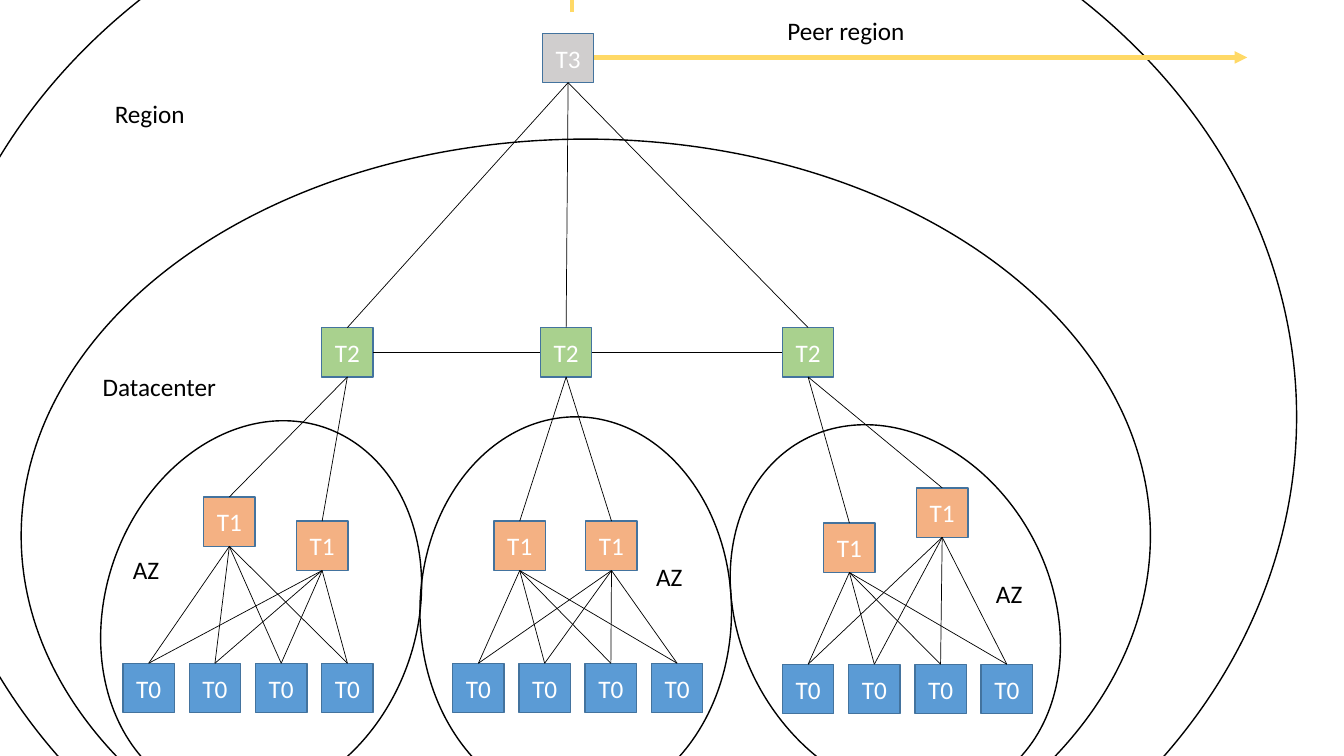
from pptx import Presentation
from pptx.dml.color import RGBColor
from pptx.enum.shapes import MSO_CONNECTOR, MSO_SHAPE
from pptx.enum.text import MSO_ANCHOR, MSO_AUTO_SIZE, PP_ALIGN
from pptx.oxml.ns import qn
from pptx.util import Inches, Pt
from lxml.etree import SubElement

NODE_WIDTH, NODE_HEIGHT = 0.51, 0.49
SERVER_PITCH = 0.657
TOP, LEFT, BOTTOM, RIGHT = range(4)  # connection sites of a rectangle
FILLS = {"T0": "5B9BD5", "T1": "F4B183", "T2": "A9D18E", "T3": "D0CECE"}

presentation = Presentation()
presentation.slide_width, presentation.slide_height = Inches(13.33), Inches(7.5)
slide = presentation.slides.add_slide(presentation.slide_layouts[6])


def add_node(tier, left, top):
    node = slide.shapes.add_shape(MSO_SHAPE.RECTANGLE, Inches(left), Inches(top),
                                  Inches(NODE_WIDTH), Inches(NODE_HEIGHT))
    node.shadow.inherit = False
    node.fill.solid()
    node.fill.fore_color.rgb = RGBColor.from_string(FILLS[tier])
    node.line.color.rgb = RGBColor.from_string("43739E")
    node.line.width = Pt(1)
    node.text_frame.vertical_anchor = MSO_ANCHOR.MIDDLE
    paragraph = node.text_frame.paragraphs[0]
    paragraph.text = tier
    paragraph.alignment = PP_ALIGN.CENTER
    paragraph.font.name, paragraph.font.size = "Calibri", Pt(18)
    paragraph.font.color.rgb = RGBColor.from_string("FFFFFF")
    return node


def add_line(start=(0, 0), end=(0, 0), color="000000", width=0.5):
    line = slide.shapes.add_connector(
        MSO_CONNECTOR.STRAIGHT, *[Inches(value) for value in (*start, *end)])
    line.line.color.rgb = RGBColor.from_string(color)
    line.line.width = Pt(width)
    SubElement(line._element.spPr, qn("a:effectLst"))
    return line


# Outlines of the region, the datacenter and the three zones
outlines = [
    (-0.74, -1.56, 13.6, 11.39, 180),
    (0.21, 1.38, 11.2, 7.87, 180),
    (0.66, 4.52, 3.86, 3.09, 289.3),
    (3.78, 4.52, 3.86, 3.09, 270),
    (6.95, 4.52, 3.86, 3.09, 242),
]
for left, top, width, height, rotation in outlines:
    outline = slide.shapes.add_shape(MSO_SHAPE.OVAL, Inches(left), Inches(top),
                                     Inches(width), Inches(height))
    outline.rotation = rotation
    outline.shadow.inherit = False
    outline.fill.background()
    outline.line.color.rgb = RGBColor.from_string("000000")
    outline.line.width = Pt(1)

# Nodes: each zone has a T2 position, two T1 positions and a row of four T0
root = add_node("T3", 5.38, 0.33)
zones = [
    (3.19, [(2.02, 4.93), (2.94, 5.17)], (1.22, 6.58)),
    (5.36, [(4.9, 5.17), (5.81, 5.17)], (4.49, 6.58)),
    (7.76, [(8.17, 5.19), (9.09, 4.84)], (7.76, 6.59)),
]
links = []
spines = []
for spine_left, leaf_places, (row_left, row_top) in zones:
    spine = add_node("T2", spine_left, 3.25)
    leaves = [add_node("T1", *place) for place in leaf_places]
    servers = [add_node("T0", row_left + column * SERVER_PITCH, row_top)
               for column in range(4)]
    spines.append(spine)
    links.append((spine, TOP, root, BOTTOM))
    links += [(leaf, TOP, spine, BOTTOM) for leaf in leaves]
    links += [(server, TOP, leaf, BOTTOM) for server in servers for leaf in leaves]
links += [(first, RIGHT, second, LEFT) for first, second in zip(spines, spines[1:])]

# Links between the tiers
for lower, lower_site, upper, upper_site in links:
    link = add_line()
    link.begin_connect(lower, lower_site)
    link.end_connect(upper, upper_site)

# Arrows to the peer regions
for start, end in [((5.89, 0.57), (12.37, 0.57)), ((5.67, 0.12), (5.67, -0.72))]:
    arrow = add_line(start, end, "FFD966", 3)
    SubElement(arrow.line._get_or_add_ln(), qn("a:tailEnd"), type="triangle")

# Labels
labels = [
    ("AZ", 1.22, 5.45, 0.46),
    ("AZ", 6.41, 5.52, 0.46),
    ("AZ", 9.78, 5.69, 0.46),
    ("Datacenter", 0.92, 3.63, 1.34),
    ("Region", 1.04, 0.93, 0.9),
    ("Peer region", 7.71, 0.1, 1.38),
]
for text, left, top, width in labels:
    label = slide.shapes.add_textbox(Inches(left), Inches(top), Inches(width), Inches(0.4))
    label.text_frame.word_wrap = False
    label.text_frame.auto_size = MSO_AUTO_SIZE.SHAPE_TO_FIT_TEXT
    paragraph = label.text_frame.paragraphs[0]
    paragraph.text = text
    paragraph.font.name, paragraph.font.size = "Calibri", Pt(18)
    paragraph.font.color.rgb = RGBColor.from_string("000000")

presentation.save("out.pptx")
